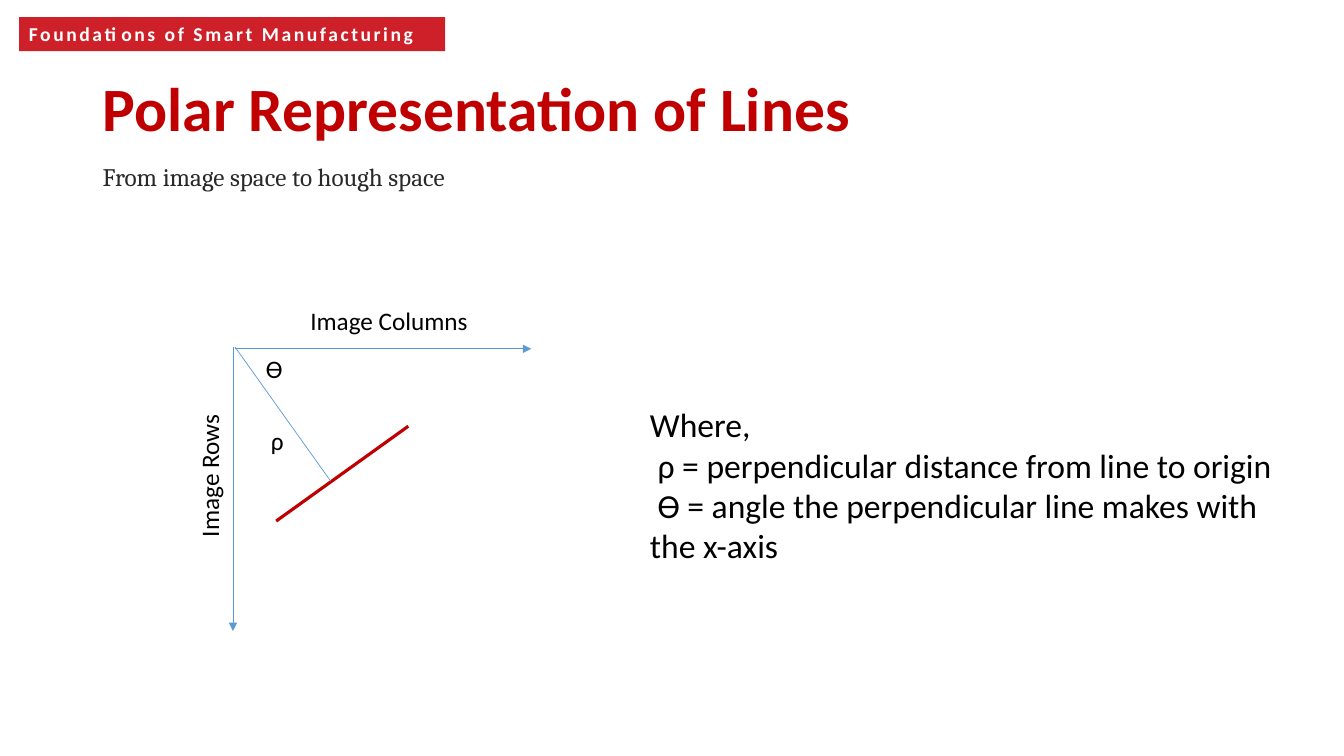
from lxml import etree
from pptx import Presentation
from pptx import util as u
from pptx.dml.color import RGBColor
from pptx.enum import shapes, text
from pptx.oxml.ns import qn

RED, BLUE, BLACK = "C00000", "5B9BD5", "000000"


def color(value):
    """Return the colour for a hex string."""
    return RGBColor.from_string(value)


def write(shape, lines, hex_color=BLACK, frame_format=None, paragraph_format=None, **font_format):
    """Fill a shape with paragraphs in one format."""
    frame = shape.text_frame
    frame_values = {"word_wrap": True, "vertical_anchor": text.MSO_ANCHOR.TOP}
    for name, value in (frame_values | (frame_format or {})).items():
        setattr(frame, name, value)
    font_values = {"name": "Calibri", "size": u.Pt(18)} | font_format
    for index, line in enumerate(lines):
        paragraph = frame.paragraphs[0] if index == 0 else frame.add_paragraph()
        paragraph_values = {"alignment": text.PP_ALIGN.LEFT} | (paragraph_format or {})
        for name, value in paragraph_values.items():
            setattr(paragraph, name, value)
        run = paragraph.add_run()
        run.text = line
        for name, value in font_values.items():
            setattr(run.font, name, value)
        run.font.color.rgb = color(hex_color)


def add_text(slide, box, lines, **formats):
    """Add a text box in the given box of centimetres."""
    shape = slide.shapes.add_textbox(*map(u.Cm, box))
    write(shape, lines, **formats)
    return shape


def add_line(slide, ends, hex_color, width, arrow=False):
    """Add a straight line between two points in centimetres."""
    connector = slide.shapes.add_connector(shapes.MSO_CONNECTOR.STRAIGHT, *map(u.Cm, ends))
    connector.line.color.rgb = color(hex_color)
    connector.line.width = u.Pt(width)
    if arrow:
        etree.SubElement(connector.line._get_or_add_ln(), qn("a:tailEnd"), type="triangle")
    etree.SubElement(connector._element.spPr, qn("a:effectLst"))


def add_course_band(slide, box):
    """Draw the red band with the course name."""
    band = slide.shapes.add_shape(shapes.MSO_SHAPE.RECTANGLE, *map(u.Cm, box))
    band.shadow.inherit = False
    band.fill.solid()
    band.fill.fore_color.rgb = color("CE2029")
    band.line.fill.background()
    write(band, ["Foundations of Smart Manufacturing"], "FFFFFF",
          {"vertical_anchor": text.MSO_ANCHOR.MIDDLE}, size=u.Pt(14), bold=True)
    band.text_frame.paragraphs[0].runs[0].font._element.set("spc", "180")


def add_heading(slide, box):
    """Place the title with the subtitle below it."""
    left, top, width, height = box
    add_text(slide, (left, top, width, 2), ["Polar Representation of Lines"], hex_color=RED,
             frame_format={"vertical_anchor": text.MSO_ANCHOR.MIDDLE},
             paragraph_format={"line_spacing": 0.9}, size=u.Pt(44), bold=True)
    add_text(slide, (left, top + height - 1.02, 10.39, 1.02), ["From image space to hough space"],
             hex_color="292929", frame_format={"word_wrap": False}, name="Cambria")


def add_diagram(slide, box):
    """Draw the image axes, the line and its perpendicular."""
    left, top, width, height = box
    lines = [
        ((0, 0, 0, height), BLUE, 0.5, True),
        ((0.05, 0.05, width, 0.05), BLUE, 0.5, True),
        ((1.09, 4.39, 4.42, 2), RED, 2.25, False),
        ((0.05, 0, 2.46, 3.38), BLUE, 0.5, False),
    ]
    for (x1, y1, x2, y2), hex_color, weight, arrow in lines:
        add_line(slide, (left + x1, top + y1, left + x2, top + y2), hex_color, weight, arrow)
    labels = [
        ("ρ", 0.71, 1.85, 0.76),
        ("Ѳ", 0.58, 0.05, 1.52),
        ("Image Columns", 1.7, -1.17, 4.6),
    ]
    for label, x, y, label_width in labels:
        add_text(slide, (left + x, top + y, label_width, 1.02), [label])
    rows_label = add_text(slide, (left - 2.9, top + 2.74, 4.6, 1.02), ["Image Rows"],
                          paragraph_format={"alignment": text.PP_ALIGN.CENTER})
    rows_label.rotation = 270


def add_legend(slide, box):
    """Explain the symbols of the diagram."""
    add_text(slide, box, [
        "Where,",
        " ρ = perpendicular distance from line to origin",
        " Ѳ = angle the perpendicular line makes with the x-axis",
    ], size=u.Pt(24))


def main():
    """Build and save the slide."""
    presentation = Presentation()
    presentation.slide_width, presentation.slide_height = u.Cm(33.87), u.Cm(19.05)
    slide = presentation.slides.add_slide(presentation.slide_layouts[6])
    add_course_band(slide, (0.48, 0.43, 10.74, 0.86))
    add_heading(slide, (2.34, 1.8, 29.21, 3.16))
    add_diagram(slide, (5.87, 8.74, 7.52, 7.16))
    add_legend(slide, (16.13, 10.06, 16.33, 5.38))
    presentation.save("out.pptx")


if __name__ == "__main__":
    main()
